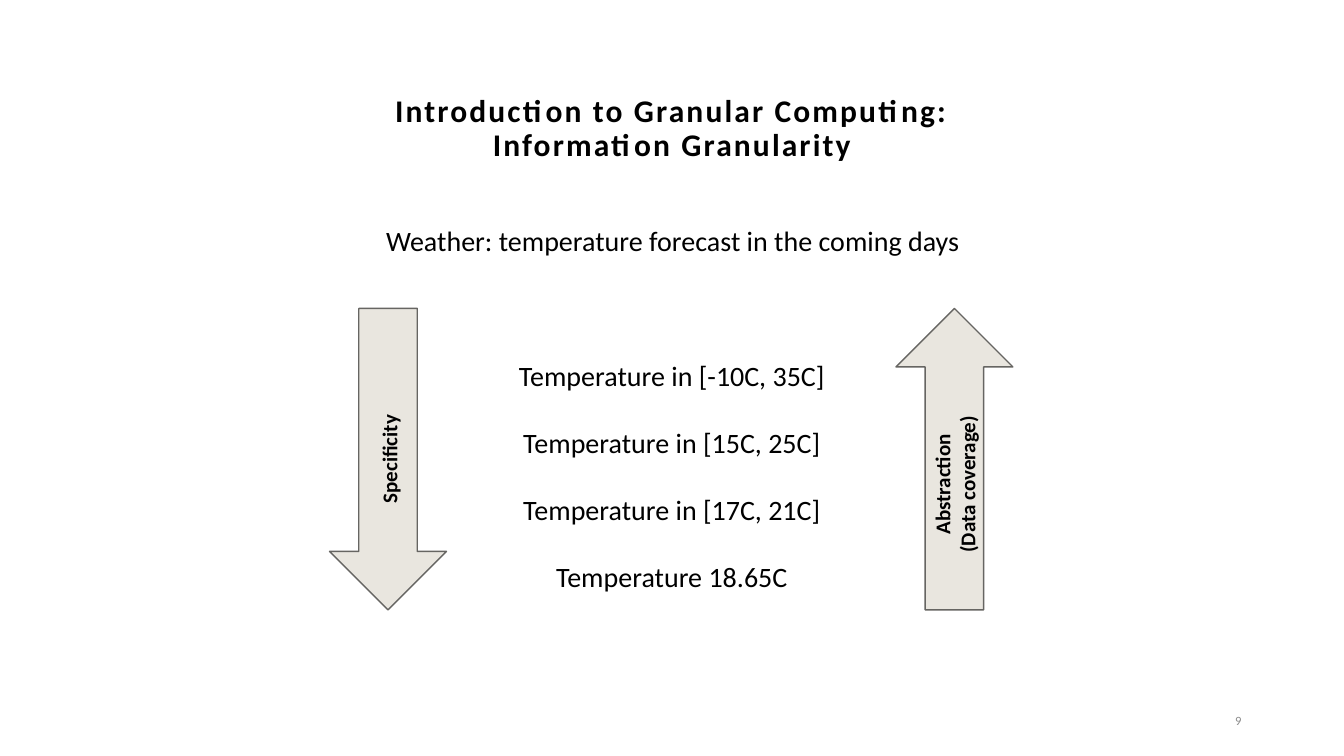
import pptx
import pptx.util
import pptx.dml.color
import pptx.enum.shapes
import pptx.enum.text

Pt = pptx.util.Pt
RGB = pptx.dml.color.RGBColor.from_string
ALIGN = pptx.enum.text.PP_ALIGN
HUES = {"ink": "000000", "page": "8C8C8C", "fill": "E9E6DF", "edge": "666562"}


def style(box, size, hue="ink", bold=False, align=ALIGN.CENTER, space=None):
    frame = box.text_frame
    frame.word_wrap = True
    frame.auto_size = pptx.enum.text.MSO_AUTO_SIZE.NONE
    frame.vertical_anchor = pptx.enum.text.MSO_ANCHOR.MIDDLE
    for para in frame.paragraphs:
        para.alignment = align
        para.line_spacing = space
        for run in para.runs:
            run.font.name = "Calibri"
            run.font.size = Pt(size)
            run.font.bold = bold
            run.font.color.rgb = RGB(HUES[hue])


def write(text, left, top, width, height):
    box = slide.shapes.add_textbox(Pt(left), Pt(top), Pt(width), Pt(height))
    box.text_frame.text = text
    return box


deck = pptx.Presentation()
deck.slide_width, deck.slide_height = Pt(960), Pt(540)
slide = deck.slides.add_slide(deck.slide_layouts[5])

title = slide.shapes.title
title.left, title.top, title.width, title.height = Pt(221), Pt(62), Pt(518), Pt(60.5)
title.text_frame.text = "Introduction to Granular Computing: Information Granularity"
style(title, 22.5, bold=True, space=0.9)
title.text_frame.paragraphs[0].runs[0].font._element.set("spc", "150")

page = write("9", 678, 500.5, 216, 28.8)
style(page, 9, hue="page", align=ALIGN.RIGHT)

topic = write("Weather: temperature forecast in the coming days", 247.7, 155.5, 465.8, 31.7)
style(topic, 20)

ranges = ["in [-10C, 35C]", "in [15C, 25C]", "in [17C, 21C]", "18.65C"]
steps = write("\n".join(f"Temperature {item}" for item in ranges), 348.5, 231, 262.8, 193.7)
style(steps, 20, space=2)

for left, turn in [(640, 0), (235.4, 180)]:
    arrow = slide.shapes.add_shape(
        pptx.enum.shapes.MSO_SHAPE.UP_ARROW, Pt(left), Pt(220.3), Pt(83.5), Pt(215.3))
    arrow.rotation = turn
    arrow.shadow.inherit = False
    arrow.fill.solid()
    arrow.fill.fore_color.rgb = RGB(HUES["fill"])
    arrow.line.color.rgb = RGB(HUES["edge"])
    arrow.line.width = Pt(1)

for text, left, top, width, height in [
    ("Specificity", 213.8, 315.4, 128.2, 25.2),
    ("Abstraction\n(Data coverage)", 599, 324, 165.6, 43.9),
]:
    label = write(text, left, top, width, height)
    label.rotation = 270
    style(label, 15, bold=True)

deck.save("out.pptx")
